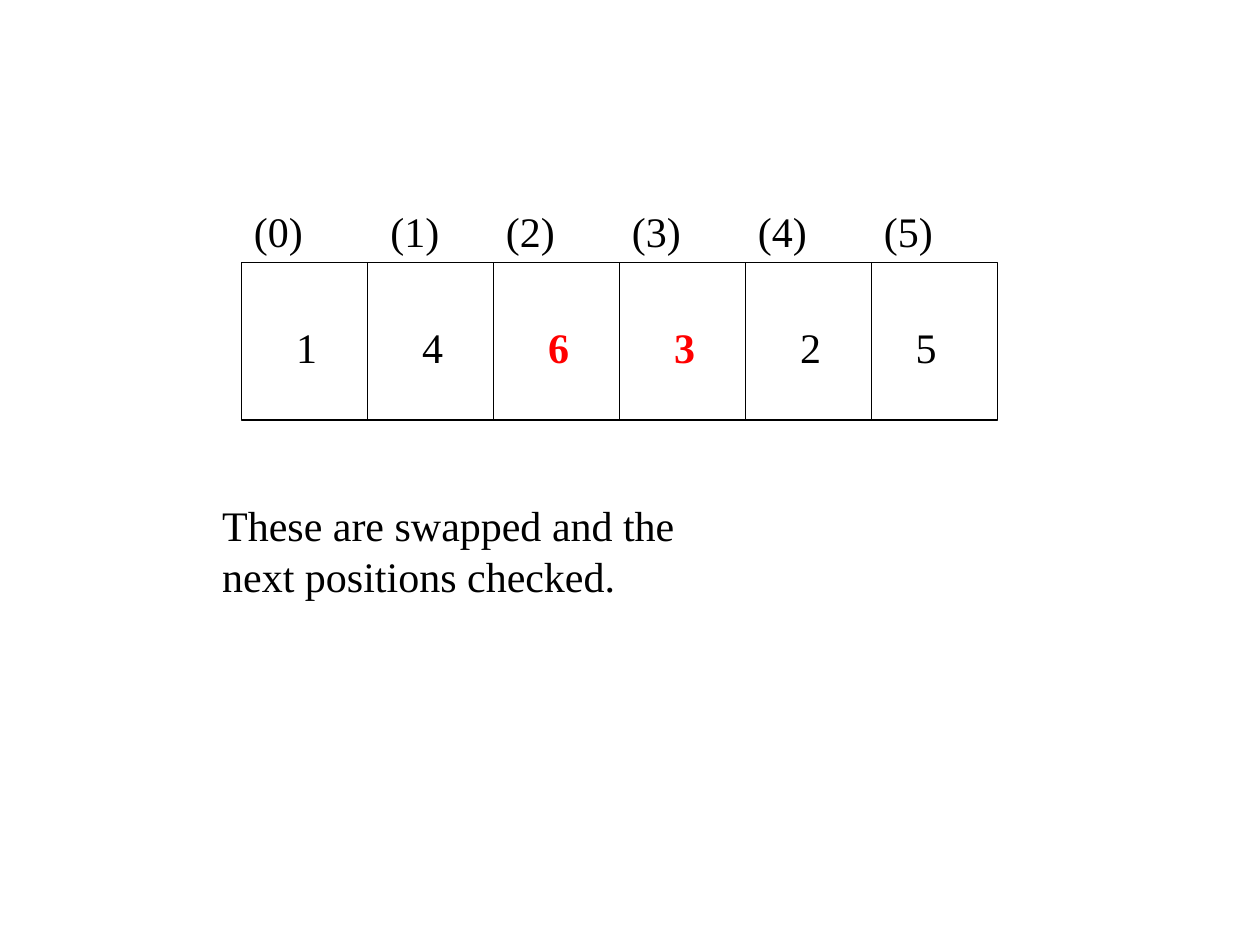
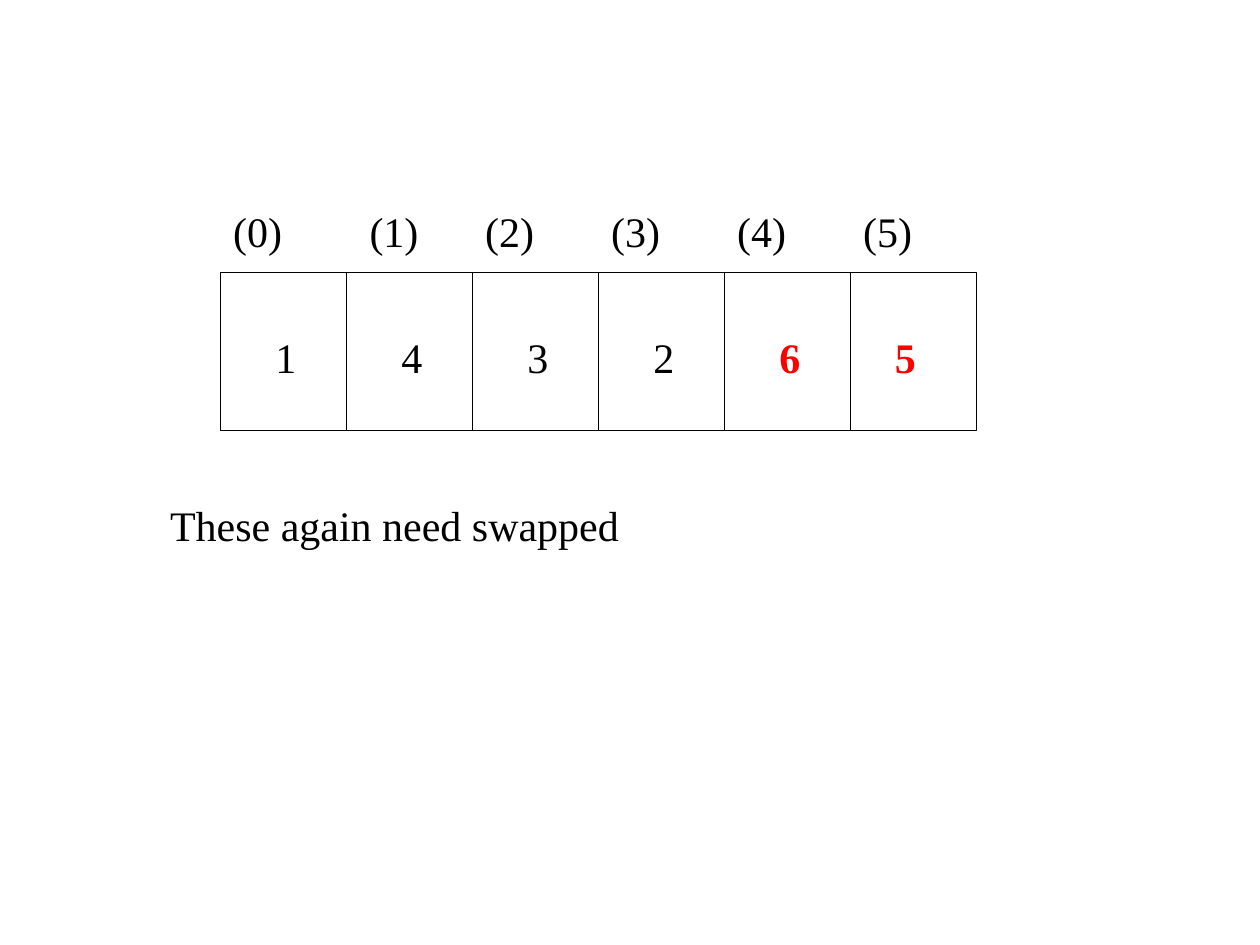
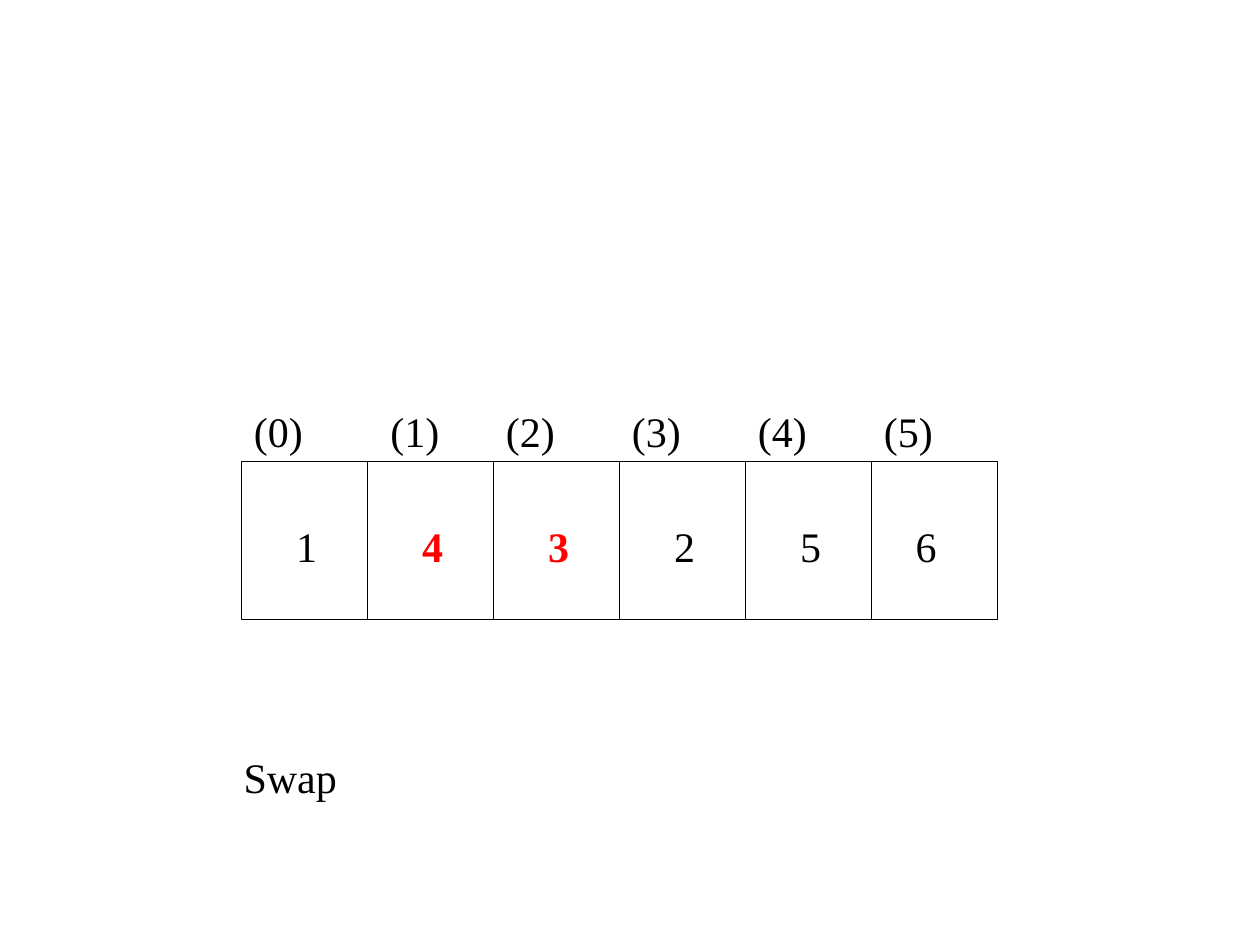
"""Build three slides that show passes of a bubble sort over six numbers."""
from typing import NamedTuple

from lxml import etree
from pptx import Presentation
from pptx import util as u
from pptx.dml.color import RGBColor
from pptx.enum import shapes, text

FONT = "Times New Roman"
BLACK, RED = "000000", "FF0000"
CELL, ROW_HEIGHT, LINE_HEIGHT = 2.54, 3.18, 1.27
VALUE_DROP = 1.06


class Slot(NamedTuple):
    value_shift: float
    value_width: float
    label_shift: float
    label_width: float


class Caption(NamedTuple):
    words: str
    left: float
    top: float
    width: float
    height: float = LINE_HEIGHT


class Step(NamedTuple):
    values: str
    swapped: tuple[int, int]
    left: float
    top: float
    label_top: float
    caption: Caption


SLOTS = (
    Slot(0.85, 1.06, 0, 2.12),
    Slot(0.85, 1.27, 0.21, 1.69),
    Slot(0.85, 1.27, 0, 1.69),
    Slot(0.85, 1.06, 0, 2.12),
    Slot(0.85, 1.06, 0, 2.33),
    Slot(0.64, 1.48, 0, 1.69),
)

STEPS = (
    Step("146325", (2, 3), 4.87, 5.29, 4.02,
         Caption("These are swapped and the next positions checked.", 4.23, 9.95, 11.22, 2.29)),
    Step("143265", (4, 5), 4.45, 5.5, 4.02,
         Caption("These again need swapped", 3.18, 9.95, 11.22)),
    Step("143256", (1, 2), 4.87, 9.31, 8.04,
         Caption("Swap", 4.66, 15.03, 2.96)),
)


def color(value: str) -> RGBColor:
    return RGBColor.from_string(value)


def add_text(slide, words: str, *, left: float, top: float, width: float,
             height: float = LINE_HEIGHT, ink: str = BLACK, bold: bool = False) -> None:
    box = slide.shapes.add_textbox(u.Cm(left), u.Cm(top), u.Cm(width), u.Cm(height))
    frame = box.text_frame
    frame.word_wrap = True
    frame.auto_size = text.MSO_AUTO_SIZE.SHAPE_TO_FIT_TEXT
    run = frame.paragraphs[0].add_run()
    run.text = words
    run.font.name = FONT
    run.font.size = u.Pt(24)
    run.font.bold = bold
    run.font.color.rgb = color(ink)


def style_line(line) -> None:
    line.color.rgb = color(BLACK)
    line.width = u.Pt(0.75)


def add_divider(slide, x: float, top: float) -> None:
    divider = slide.shapes.add_connector(
        shapes.MSO_CONNECTOR.STRAIGHT, u.Cm(x), u.Cm(top), u.Cm(x), u.Cm(top + ROW_HEIGHT))
    style_line(divider.line)
    properties = divider._element.spPr
    namespace = properties.nsmap["a"]
    etree.SubElement(properties, f"{{{namespace}}}effectLst")


def add_array(slide, step: Step) -> None:
    frame = slide.shapes.add_shape(
        shapes.MSO_SHAPE.RECTANGLE, u.Cm(step.left), u.Cm(step.top),
        u.Cm(CELL * len(SLOTS)), u.Cm(ROW_HEIGHT))
    frame.shadow.inherit = False
    frame.fill.background()
    style_line(frame.line)
    for index in range(1, len(SLOTS)):
        add_divider(slide, step.left + index * CELL, step.top)
    for index, (value, slot) in enumerate(zip(step.values, SLOTS)):
        x = step.left + index * CELL
        marked = index in step.swapped
        add_text(slide, value, left=x + slot.value_shift, top=step.top + VALUE_DROP,
                 width=slot.value_width, ink=RED if marked else BLACK, bold=marked)
        add_text(slide, f"({index})", left=x + slot.label_shift, top=step.label_top,
                 width=slot.label_width)


def main() -> None:
    presentation = Presentation()
    presentation.slide_width, presentation.slide_height = u.Cm(25.4), u.Cm(19.05)
    for step in STEPS:
        slide = presentation.slides.add_slide(presentation.slide_layouts[6])
        add_array(slide, step)
        caption = step.caption
        add_text(slide, caption.words, left=caption.left, top=caption.top,
                 width=caption.width, height=caption.height)
    presentation.save("out.pptx")


if __name__ == "__main__":
    main()
